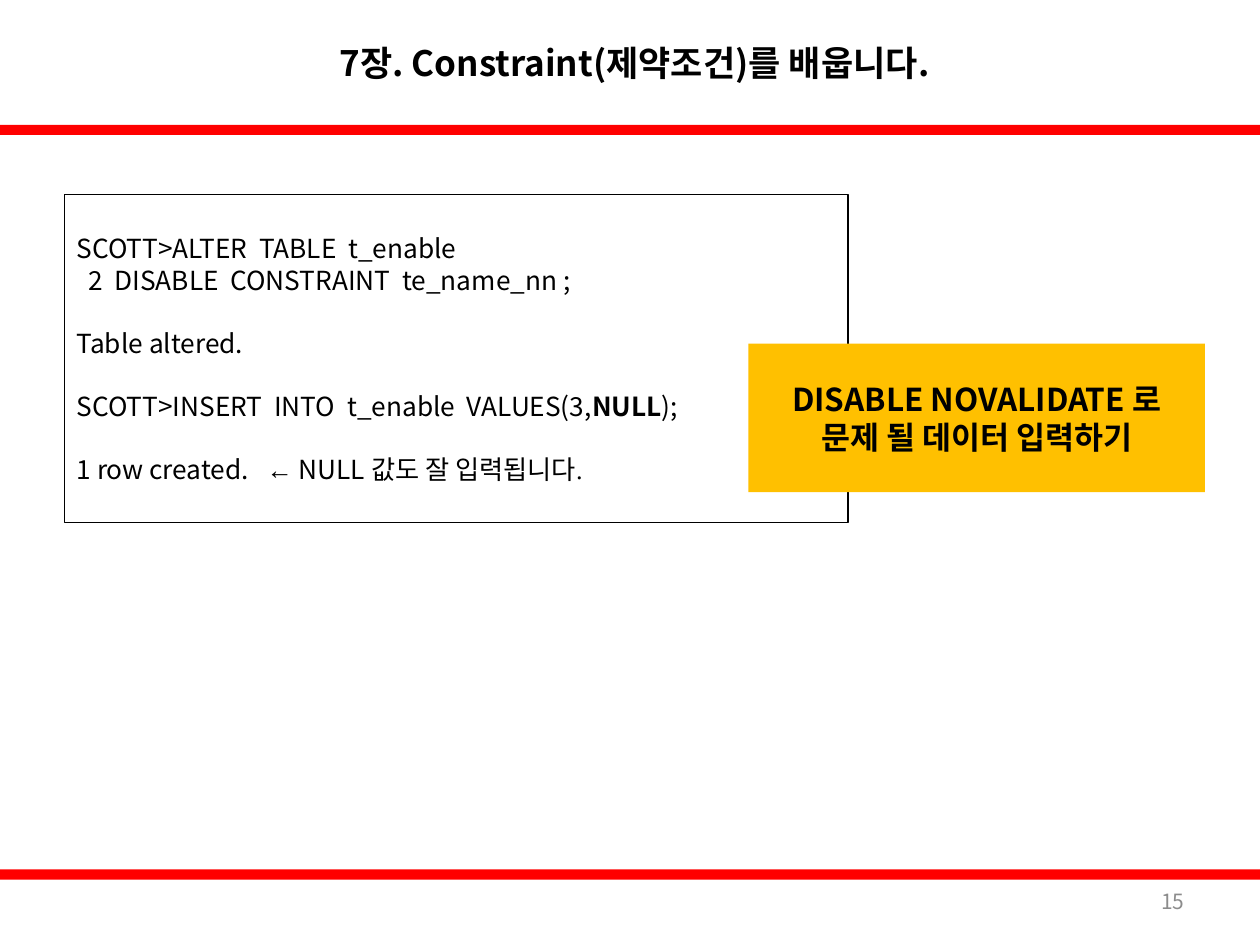
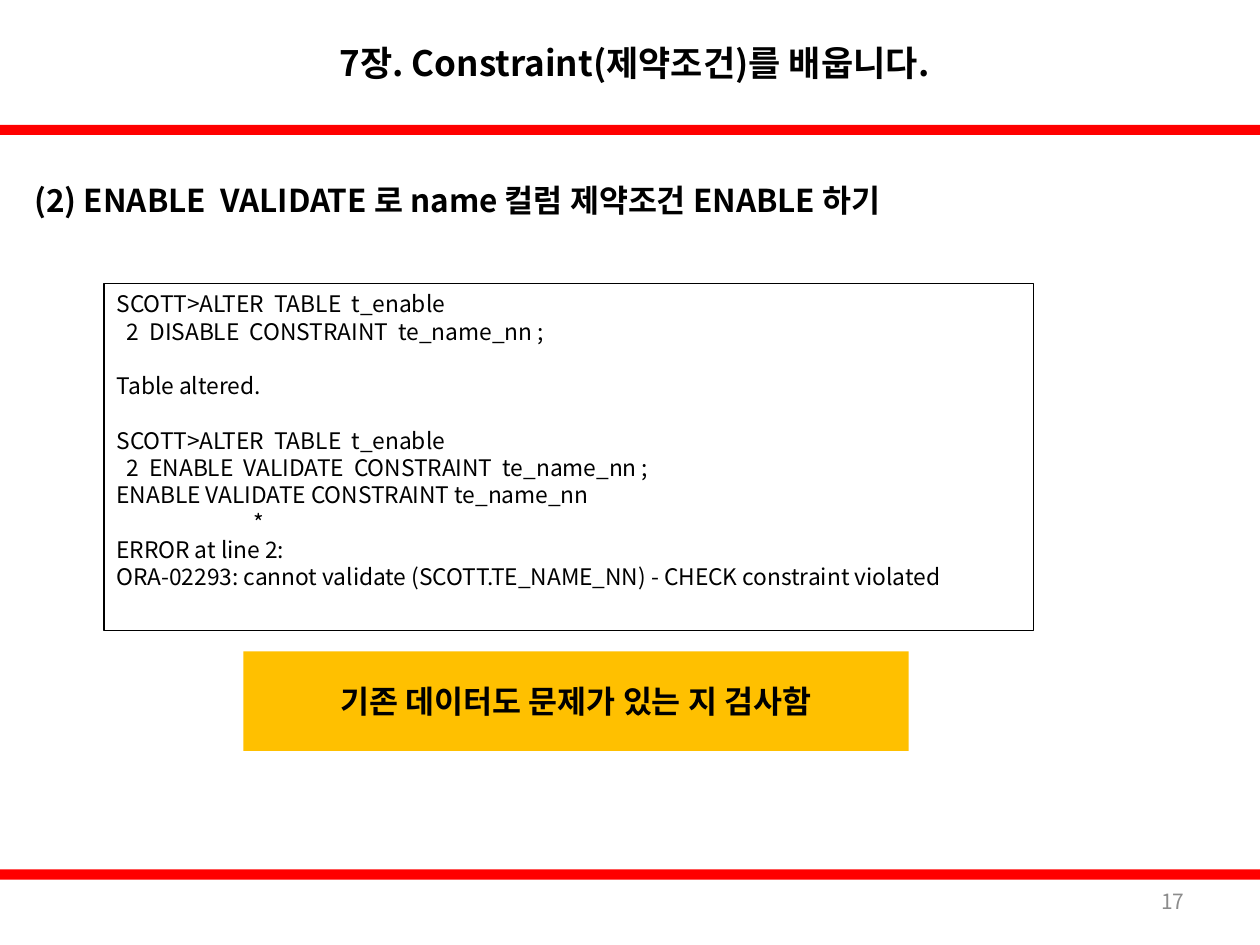
"""Build two lecture slides on disabling and enabling SQL constraints."""
from dataclasses import dataclass

from lxml import etree
from pptx import Presentation
from pptx.dml.color import RGBColor
from pptx.enum import shapes, text
from pptx.oxml.ns import qn
from pptx.util import Pt


@dataclass(frozen=True)
class Theme:
    font: str = "Noto Sans CJK KR"
    symbol_font: str = "Times New Roman"
    ink: str = "000000"
    paper: str = "FFFFFF"
    band: str = "FF0000"
    callout: str = "FFC000"
    muted: str = "8C8C8C"
    title: int = 20
    heading: int = 18
    code: int = 15
    small_code: int = 13
    number: int = 12
    leading: float = 1.2


THEME = Theme()
LEFT, CENTER, RIGHT, JUSTIFY = (
    text.PP_ALIGN.LEFT, text.PP_ALIGN.CENTER, text.PP_ALIGN.RIGHT, text.PP_ALIGN.JUSTIFY)
MIDDLE, TOP = text.MSO_ANCHOR.MIDDLE, text.MSO_ANCHOR.TOP


def add_panel(page, frame, fill=None, line=None):
    """Add a rectangle with optional fill and outline."""
    box = page.shapes.add_shape(shapes.MSO_SHAPE.RECTANGLE, *map(Pt, frame))
    box.shadow.inherit = False
    if fill:
        box.fill.solid()
        box.fill.fore_color.rgb = RGBColor.from_string(fill)
    if line:
        box.line.color.rgb = RGBColor.from_string(line)
        box.line.width = Pt(0.75)
    else:
        box.line.fill.background()
    return box


def write(box, lines, size, align=LEFT, anchor=MIDDLE, bold=False, color=THEME.ink):
    """Write (spans, indent, blank lines above) rows; a span is (text, style)."""
    frame = box.text_frame
    frame.word_wrap = True
    frame.vertical_anchor = anchor
    leading = size * THEME.leading
    for index, (spans, indent, gap) in enumerate(lines):
        para = frame.paragraphs[0] if index == 0 else frame.add_paragraph()
        para.alignment = align
        para.line_spacing = Pt(leading)
        para.space_before = Pt(gap * leading)
        para._p.get_or_add_pPr().set("marL", str(Pt(indent)))
        para.font.name = THEME.font
        para.font.size = Pt(size)
        para.font.bold = bold
        para.font.color.rgb = RGBColor.from_string(color)
        etree.SubElement(para.font._rPr, qn("a:ea"), typeface=THEME.font)
        for words, style in spans:
            span = para.add_run()
            span.text = words
            if style == "bold":
                span.font.bold = True
            elif style == "symbol":
                span.font.name = THEME.symbol_font


deck = Presentation()
deck.slide_width, deck.slide_height = Pt(720), Pt(540)

pages = []
for number in ("15", "17"):
    page = deck.slides.add_slide(deck.slide_layouts[6])
    for band_top in (71.3, 496.8):
        add_panel(page, (0, band_top, 720, 5.8), THEME.band)
    title = page.shapes.add_textbox(*map(Pt, (121.7, 0, 481.7, 71.3)))
    write(title, [([("7장. Constraint(제약조건)를 배웁니다.", "")], 0, 0)],
          THEME.title, CENTER, bold=True)
    page_number = page.shapes.add_textbox(*map(Pt, (516.2, 500.4, 167.8, 28.8)))
    write(page_number, [([(number, "")], 0, 0)], THEME.number, RIGHT, color=THEME.muted)
    pages.append(page)

insert_page, validate_page = pages

insert_code = add_panel(insert_page, (36.7, 111.3, 448, 187.2), THEME.paper, THEME.ink)
write(insert_code, [
    ([("SCOTT>ALTER  TABLE  t_enable", "")], 0, 0),
    ([("2  DISABLE  CONSTRAINT  te_name_nn ;", "")], 6.7, 0),
    ([("Table altered.", "")], 0, 1),
    ([("SCOTT>INSERT  INTO  t_enable  VALUES(3,", ""), ("NULL", "bold"), (");", "")], 0, 1),
    ([("1 row created.   ", ""), ("←", "symbol"), (" NULL 값도 잘 입력됩니다", ""),
      (".", "symbol")], 0, 1),
], THEME.code)

insert_callout = add_panel(insert_page, (427.7, 196.3, 260.9, 85), THEME.callout)
write(insert_callout, [
    ([("DISABLE NOVALIDATE 로", "")], 0, 0),
    ([("문제 될 데이터 입력하기", "")], 0, 0),
], THEME.heading, CENTER, bold=True)

heading = validate_page.shapes.add_textbox(*map(Pt, (8.6, 88.6, 686.2, 51.1)))
write(heading, [([("(2) ENABLE  VALIDATE 로 name 컬럼 제약조건 ENABLE 하기", "")], 4, 0)],
      THEME.heading, bold=True)

validate_code = add_panel(validate_page, (59.5, 162.2, 530.9, 198), THEME.paper, THEME.ink)
write(validate_code, [
    ([(words, "")], indent, gap) for words, indent, gap in (
        ("SCOTT>ALTER  TABLE  t_enable", 0, 0),
        ("2  DISABLE  CONSTRAINT  te_name_nn ;", 5.8, 0),
        ("Table altered.", 0, 1),
        ("SCOTT>ALTER  TABLE  t_enable", 0, 1),
        ("2  ENABLE  VALIDATE  CONSTRAINT  te_name_nn ;", 5.8, 0),
        ("ENABLE VALIDATE CONSTRAINT te_name_nn", 0, 0),
        ("*", 78, 0),
        ("ERROR at line 2:", 0, 0),
        ("ORA-02293: cannot validate (SCOTT.TE_NAME_NN) - CHECK constraint violated", 0, 0),
    )
], THEME.small_code, JUSTIFY, TOP)

validate_callout = add_panel(validate_page, (139, 372.2, 380.2, 56.9), THEME.callout)
write(validate_callout, [([("기존 데이터도 문제가 있는 지 검사함", "")], 0, 0)],
      THEME.heading, CENTER, bold=True)

deck.save("out.pptx")
